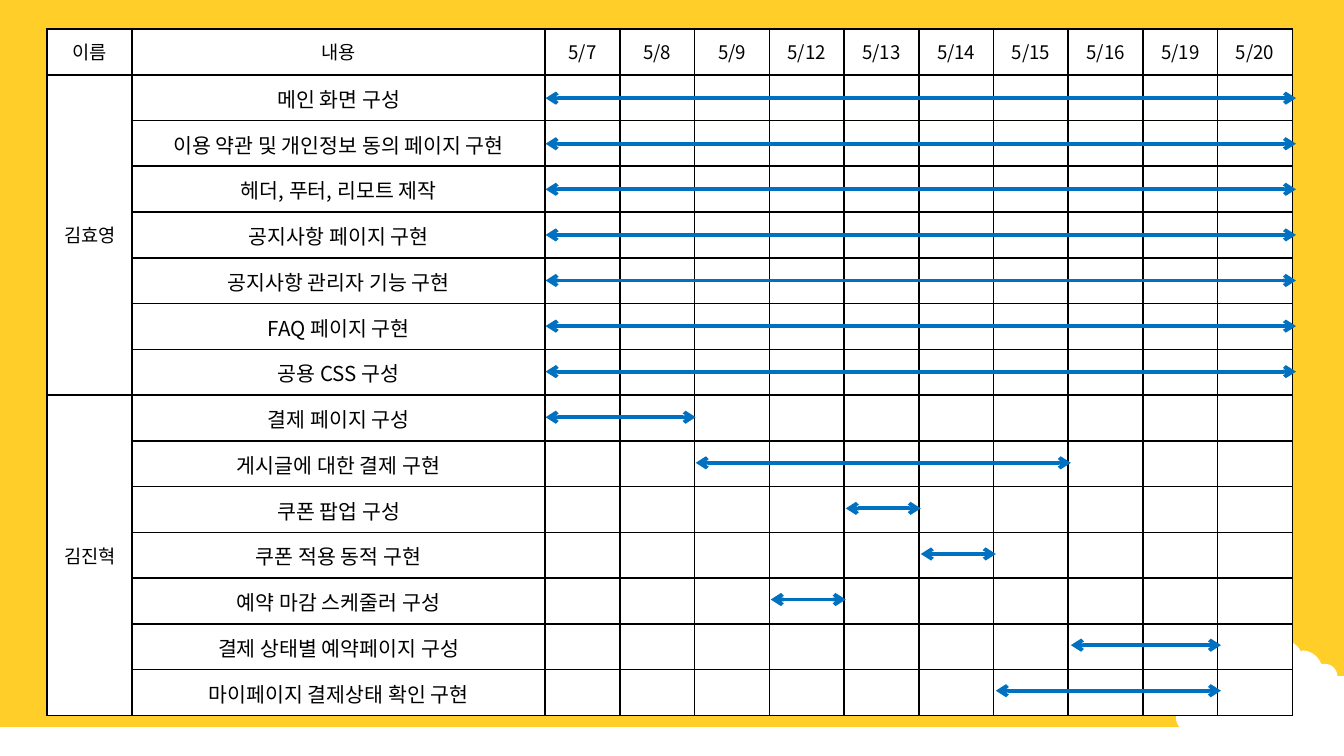
from lxml import etree
from pptx import Presentation
from pptx.dml.color import RGBColor
from pptx.enum.shapes import MSO_CONNECTOR, MSO_SHAPE
from pptx.enum.text import MSO_ANCHOR, PP_ALIGN
from pptx.oxml.ns import qn
from pptx.util import Pt

STRAIGHT = MSO_CONNECTOR.STRAIGHT
RECTANGLE = MSO_SHAPE.RECTANGLE
MIDDLE = MSO_ANCHOR.MIDDLE
CENTER = PP_ALIGN.CENTER

FONT = "Noto Sans CJK KR"
YELLOW, WHITE, BLACK, BLUE = "FFCE29", "FFFFFF", "000000", "0070C0"

# Content: each task has its first and last date line
HEADINGS = ["이름", "내용"]
DATES = ["5/7", "5/8", "5/9", "5/12", "5/13", "5/14", "5/15", "5/16", "5/19", "5/20"]
SCHEDULE = [
    ("김효영", [
        ("메인 화면 구성", 0, 10),
        ("이용 약관 및 개인정보 동의 페이지 구현", 0, 10),
        ("헤더, 푸터, 리모트 제작", 0, 10),
        ("공지사항 페이지 구현", 0, 10),
        ("공지사항 관리자 기능 구현", 0, 10),
        ("FAQ 페이지 구현", 0, 10),
        ("공용 CSS 구성", 0, 10),
    ]),
    ("김진혁", [
        ("결제 페이지 구성", 0, 2),
        ("게시글에 대한 결제 구현", 2, 7),
        ("쿠폰 팝업 구성", 4, 5),
        ("쿠폰 적용 동적 구현", 5, 6),
        ("예약 마감 스케줄러 구성", 3, 4),
        ("결제 상태별 예약페이지 구성", 7, 9),
        ("마이페이지 결제상태 확인 구현", 6, 9),
    ]),
]

# Cloud outline: two numbers for a corner, six for a Bézier curve
CLOUD = [
    (681.1, 330.5), (687.6, 330.5), (689, 343.4), (690.5, 343.4),
    (692.6, 344.2, 694.8, 345.6, 696.2, 347.8), (697, 349.2), (697.7, 348.5),
    (702, 348.5, 706.3, 351.4, 707.8, 355.7), (709.9, 355.7),
    (712.8, 355.7, 715.7, 357.8, 716.4, 361.4), (716.4, 362.2),
    (720, 362.2), (720, 403.2), (718.6, 403.2),
    (715.7, 403.2, 712.8, 402.5, 710.6, 401), (709.9, 400.3), (709.2, 401),
    (707.8, 401.8, 706.3, 402.5, 704.2, 402.5),
    (702, 402.5, 700.6, 401, 699.1, 399.6), (697.7, 398.9), (697.7, 399.6),
    (696.2, 401.8, 694.1, 402.5, 691.2, 402.5),
    (689, 402.5, 686.9, 401.8, 685.4, 400.3), (684.7, 399.6), (683.3, 400.3),
    (680.4, 402.5, 676.8, 403.9, 672.5, 403.9),
    (664.6, 403.9, 660.2, 400.3, 657.4, 396.7),
    (655.9, 398.2, 653, 398.9, 650.9, 398.2),
    (648, 397.4, 643.7, 396, 643, 392.4), (643, 391), (642.2, 391.7),
    (641.5, 392.4, 640.1, 392.4, 637.9, 392.4),
    (633.6, 392.4, 630, 388.8, 630, 384.5),
    (630, 380.2, 633.6, 376.6, 637.9, 376.6), (639.4, 376.6),
    (640.1, 377.3), (640.1, 375.8),
    (640.1, 369.4, 645.1, 364.3, 652.3, 364.3), (655.2, 364.3), (655.9, 363.6),
    (658.1, 361.4, 661, 360.7, 664.6, 360.7), (664.6, 359.3),
    (664.6, 357.1, 666, 354.2, 668.2, 353.5), (668.9, 353.5), (668.9, 352.1),
    (669.6, 347.8, 673.9, 344.2, 678.2, 344.2), (679.7, 344.9),
]
CURVE_STEPS = 8

# Layout in points
TABLE_LEFT, TABLE_TOP = 25.3, 15.5
NAME_WIDTH, TASK_WIDTH, DATE_WIDTH = 45.5, 221.3, 40.03
ROW_HEIGHT = 24.54
ARROW_LEFT, ARROW_TOP = 292.3, 52.6
ARROW_COLUMN, ARROW_ROW = 40.2, 24.42


def color(value):
    return RGBColor.from_string(value)


def paint(shape, value):
    shape.shadow.inherit = False
    shape.fill.solid()
    shape.fill.fore_color.rgb = color(value)
    shape.line.fill.background()


def flatten(outline):
    points = []
    for segment in outline:
        if len(segment) == 2:
            points.append(segment)
            continue
        controls = [points[-1], segment[:2], segment[2:4], segment[4:]]
        for step in range(1, CURVE_STEPS + 1):
            t = step / CURVE_STEPS
            weights = ((1 - t) ** 3, 3 * t * (1 - t) ** 2, 3 * t * t * (1 - t), t ** 3)
            points.append(tuple(
                sum(w * point[axis] for w, point in zip(weights, controls))
                for axis in (0, 1)))
    return points


def style_cell(cell):
    properties = cell._tc.get_or_add_tcPr()
    for side in ("a:lnL", "a:lnR", "a:lnT", "a:lnB"):
        border = etree.SubElement(properties, qn(side), w=str(Pt(1)))
        fill = etree.SubElement(border, qn("a:solidFill"))
        etree.SubElement(fill, qn("a:srgbClr"), val=BLACK)
    cell.fill.solid()
    cell.fill.fore_color.rgb = color(WHITE)
    # Keeps empty cells from stretching their row
    paragraph = cell.text_frame.paragraphs[0]
    etree.SubElement(paragraph._p, qn("a:endParaRPr"), sz="1000")


def write_cell(cell, text, size=10):
    cell.vertical_anchor = MIDDLE
    paragraph = cell.text_frame.paragraphs[0]
    paragraph.add_run().text = text
    paragraph.alignment = CENTER
    font = paragraph.font
    font.size, font.name = Pt(size), FONT
    font.color.rgb = color(BLACK)
    defaults = paragraph._p.find(".//" + qn("a:defRPr"))
    etree.SubElement(defaults, qn("a:ea"), typeface=FONT)


def add_arrow(slide, row, start, end):
    y = Pt(ARROW_TOP + row * ARROW_ROW)
    x_start, x_end = (Pt(ARROW_LEFT + edge * ARROW_COLUMN) for edge in (start, end))
    arrow = slide.shapes.add_connector(STRAIGHT, x_start, y, x_end, y)
    arrow.line.width = Pt(2)
    arrow.line.color.rgb = color(BLUE)
    line = arrow.line._get_or_add_ln()
    for tip in ("a:headEnd", "a:tailEnd"):
        etree.SubElement(line, qn(tip), type="arrow")
    etree.SubElement(arrow._element.spPr, qn("a:effectLst"))


presentation = Presentation()
presentation.slide_width, presentation.slide_height = Pt(720), Pt(405)
slide = presentation.slides.add_slide(presentation.slide_layouts[6])

# Background: yellow with a white ground and cloud
slide.background.fill.solid()
slide.background.fill.fore_color.rgb = color(YELLOW)
paint(slide.shapes.add_shape(RECTANGLE, 0, Pt(389.5), Pt(720), Pt(17)), WHITE)
first, *others = [(Pt(x), Pt(y)) for x, y in flatten(CLOUD)]
builder = slide.shapes.build_freeform(*first)
builder.add_line_segments(others, close=True)
paint(builder.convert_to_shape(), WHITE)

# Schedule table
widths = [NAME_WIDTH, TASK_WIDTH] + [DATE_WIDTH] * len(DATES)
row_count = 1 + sum(len(tasks) for _, tasks in SCHEDULE)
table = slide.shapes.add_table(
    row_count, len(widths), Pt(TABLE_LEFT), Pt(TABLE_TOP),
    Pt(sum(widths)), Pt(row_count * ROW_HEIGHT)).table
table.first_row = table.horz_banding = False
for column, width in zip(table.columns, widths):
    column.width = Pt(width)
for row in table.rows:
    row.height = Pt(ROW_HEIGHT)
for cell in table.iter_cells():
    style_cell(cell)
for index, heading in enumerate(HEADINGS + DATES):
    write_cell(table.cell(0, index), heading)

# People, tasks and their arrows
row = 1
for name, tasks in SCHEDULE:
    table.cell(row, 0).merge(table.cell(row + len(tasks) - 1, 0))
    write_cell(table.cell(row, 0), name)
    for task, start, end in tasks:
        cell = table.cell(row, 1)
        write_cell(cell, task, 11)
        cell.margin_left = cell.margin_right = cell.margin_top = Pt(0.7)
        cell.margin_bottom = 0
        add_arrow(slide, row - 1, start, end)
        row += 1

presentation.save("out.pptx")
